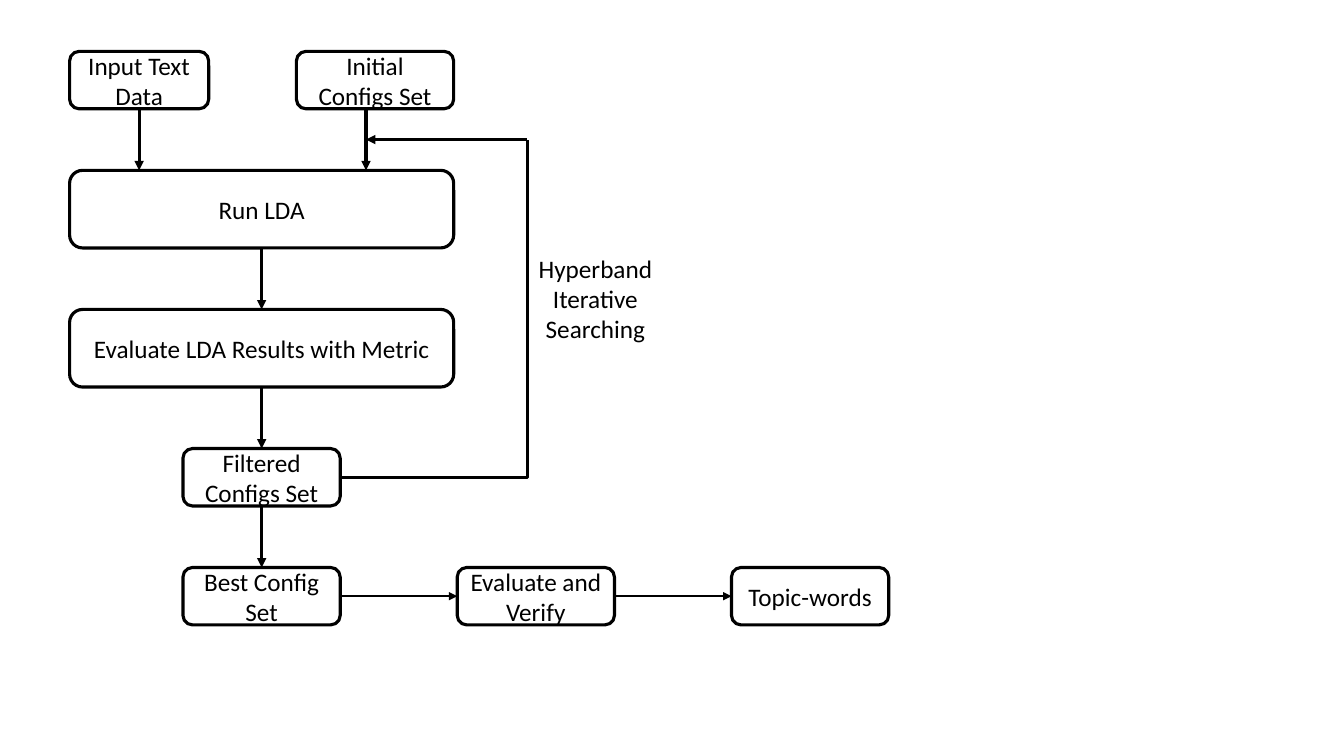
"""Flow chart of an LDA configuration search with a Hyperband loop."""
from lxml import etree
from pptx import Presentation
from pptx import util as u
from pptx.dml.color import RGBColor
from pptx.enum import shapes, text
from pptx.oxml import ns

BLACK = RGBColor(0, 0, 0)
LEFT, WIDE, SLIM = 0.69, 3.81, 1.56
LOW, TALL, GAP = 0.57, 0.77, 0.61
MID = LEFT + WIDE / 2
PITCH = 2.72
LOOP = 5.23

deck = Presentation()
deck.slide_width, deck.slide_height = u.Inches(13.33), u.Inches(7.5)
slide = deck.slides.add_slide(deck.slide_layouts[6])

tops, ends = [], []
top = 0.51
for height in (LOW, TALL, TALL, LOW, LOW):
    tops.append(top)
    ends.append(top + height)
    top += height + GAP


def write(shape, words):
    frame = shape.text_frame
    frame.word_wrap = True
    frame.text = words
    para = frame.paragraphs[0]
    para.alignment = text.PP_ALIGN.CENTER
    style = {"name": "Calibri", "size": u.Pt(18)}
    for key, value in style.items():
        setattr(para.runs[0].font, key, value)
    para.runs[0].font.color.rgb = BLACK


def link(start, end, width=2.25, arrow=True, kind=shapes.MSO_CONNECTOR.STRAIGHT):
    line = slide.shapes.add_connector(kind, *map(u.Inches, start + end))
    line.line.color.rgb = BLACK
    line.line.width = u.Pt(width)
    if arrow:
        etree.SubElement(line.line._get_or_add_ln(), ns.qn("a:tailEnd"), type="triangle")
    etree.SubElement(line._element.spPr, ns.qn("a:effectLst"))
    return line


slim = MID - SLIM / 2
boxes = [
    ("Input Text Data", LEFT, 0, 1.38),
    ("Initial Configs Set", LEFT + WIDE - SLIM, 0, SLIM),
    ("Run LDA", LEFT, 1, WIDE),
    ("Evaluate LDA Results with Metric", LEFT, 2, WIDE),
    ("Filtered Configs Set", slim, 3, SLIM),
]
final = ("Best Config Set", "Evaluate and Verify", "Topic-words")
boxes += [(words, slim + i * PITCH, 4, SLIM) for i, words in enumerate(final)]

for words, left, row, width in boxes:
    place = (left, tops[row], width, ends[row] - tops[row])
    box = slide.shapes.add_shape(
        shapes.MSO_SHAPE.ROUNDED_RECTANGLE, *map(u.Inches, place))
    box.shadow.inherit = False
    box.fill.background()
    box.line.color.rgb = BLACK
    box.line.width = u.Pt(2.25)
    box.text_frame.vertical_anchor = text.MSO_ANCHOR.MIDDLE
    write(box, words)

entry = 3.63
for x, row in ((1.38, 0), (entry, 0), (MID, 1), (MID, 2), (MID, 3)):
    link((x, ends[row]), (x, tops[row + 1]))

base = tops[4] + LOW / 2
for i in range(2):
    left = slim + i * PITCH
    link((left + SLIM, base), (left + PITCH, base), width=1.5)

turn = ends[0] + GAP / 2
bend = link((slim + SLIM, tops[3] + LOW / 2), (LOOP, turn), arrow=False,
            kind=shapes.MSO_CONNECTOR.ELBOW)
bend._element.spPr.find(ns.qn("a:prstGeom")).set("prst", "bentConnector2")
link((LOOP, turn), (entry, turn))

label = slide.shapes.add_textbox(*map(u.Inches, (5.15, ends[1], 1.51, 1.01)))
write(label, "Hyperband Iterative Searching")

deck.save("out.pptx")
